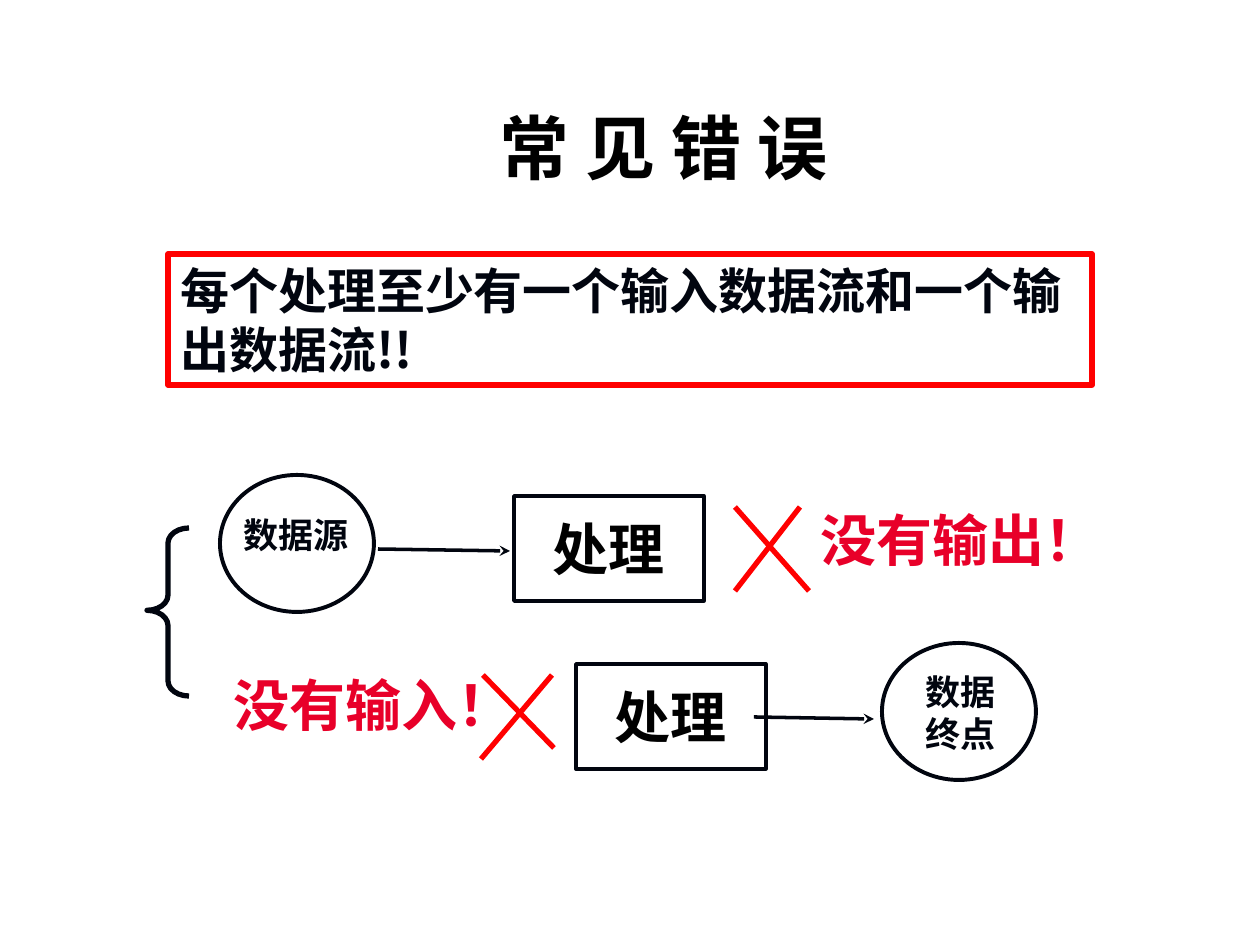
import dataclasses

import lxml.etree
import pptx
import pptx.dml.color
import pptx.enum.shapes
import pptx.enum.text
import pptx.oxml.ns
import pptx.util

PX = 914400 / 126
FONT = "Noto Sans CJK SC"
INK, BLACK, WHITE = "01050F", "000000", "FFFFFF"
RED, CRIMSON = "FF0000", "E80029"
SHAPES = pptx.enum.shapes.MSO_SHAPE
ALIGN = pptx.enum.text.PP_ALIGN
ANCHOR = pptx.enum.text.MSO_ANCHOR


@dataclasses.dataclass
class Label:
    text: str
    left: int
    top: int
    width: int
    height: int
    size: int
    color: str
    centered: bool = False


@dataclasses.dataclass
class Line:
    x1: int
    y1: int
    x2: int
    y2: int
    color: str = RED
    weight: float = 3
    arrow: bool = False


def px(length: int) -> int:
    return round(length * PX)


def rgb(value: str) -> pptx.dml.color.RGBColor:
    return pptx.dml.color.RGBColor.from_string(value)


def add_child(parent, tag: str, **attributes: str) -> None:
    lxml.etree.SubElement(parent, pptx.oxml.ns.qn(tag), **attributes)


def write_text(box, label: Label) -> None:
    frame = box.text_frame
    frame.word_wrap = True
    frame.vertical_anchor = ANCHOR.MIDDLE if label.centered else ANCHOR.TOP
    frame.text = label.text
    for para in frame.paragraphs:
        para.alignment = ALIGN.CENTER if label.centered else ALIGN.LEFT
        for span in para.runs:
            span.font.size = pptx.util.Pt(label.size)
            span.font.bold = True
            span.font.color.rgb = rgb(label.color)
            span.font.name = FONT
            add_child(span.font._element, "a:ea", typeface=FONT)


def draw_label(page, label: Label) -> None:
    bounds = map(px, (label.left, label.top, label.width, label.height))
    write_text(page.shapes.add_textbox(*bounds), label)


def draw_shape(page, kind, left: int, top: int, width: int, height: int,
               color: str, weight: float, fill: str = ""):
    shape = page.shapes.add_shape(kind, *map(px, (left, top, width, height)))
    shape.shadow.inherit = False
    shape.line.color.rgb = rgb(color)
    shape.line.width = pptx.util.Pt(weight)
    if fill:
        shape.fill.solid()
        shape.fill.fore_color.rgb = rgb(fill)
    else:
        shape.fill.background()
    return shape


def draw_line(page, line: Line) -> None:
    connector = page.shapes.add_connector(
        pptx.enum.shapes.MSO_CONNECTOR.STRAIGHT,
        *map(px, (line.x1, line.y1, line.x2, line.y2)))
    connector.line.color.rgb = rgb(line.color)
    connector.line.width = pptx.util.Pt(line.weight)
    if line.arrow:
        add_child(connector.line._get_or_add_ln(), "a:tailEnd", type="stealth")
    add_child(connector._element.spPr, "a:effectLst")


def main() -> None:
    deck = pptx.Presentation()
    deck.slide_width, deck.slide_height = px(1260), px(945)
    page = deck.slides.add_slide(deck.slide_layouts[6])

    rule = Label("每个处理至少有一个输入数据流和一个输出数据流!!",
                 168, 254, 924, 131, 28, INK)
    rule_box = draw_shape(page, SHAPES.RECTANGLE, rule.left, rule.top,
                          rule.width, rule.height, RED, 3)
    write_text(rule_box, rule)

    for left, top in ((514, 496), (576, 664)):
        process = Label("处理", left, top, 190, 105, 32, BLACK, True)
        process_box = draw_shape(page, SHAPES.RECTANGLE, left, top,
                                 process.width, process.height, INK, 2, WHITE)
        write_text(process_box, process)

    for left, top in ((220, 475), (882, 643)):
        draw_shape(page, SHAPES.OVAL, left, top, 154, 137, INK, 2.25)

    brace = draw_shape(page, SHAPES.LEFT_BRACE, 147, 528, 42, 168, INK, 3)
    brace.adjustments[0] = 0.36
    brace.adjustments[1] = 0.49

    for line in (
        Line(378, 549, 510, 551, INK, 2, True),
        Line(754, 717, 874, 719, INK, 2, True),
        Line(735, 507, 809, 591),
        Line(800, 507, 735, 591),
        Line(483, 675, 554, 748),
        Line(552, 675, 481, 759),
    ):
        draw_line(page, line)

    for label in (
        Label("常 见 错 误", 166, 84, 995, 126, 40, BLACK, True),
        Label("没有输出！", 808, 499, 311, 79, 32, CRIMSON),
        Label("没有输入！", 221, 664, 324, 79, 32, CRIMSON),
        Label("数据源", 231, 507, 140, 55, 20, INK),
        Label("数据\n终点", 913, 664, 140, 97, 20, INK),
    ):
        draw_label(page, label)

    deck.save("out.pptx")


if __name__ == "__main__":
    main()
